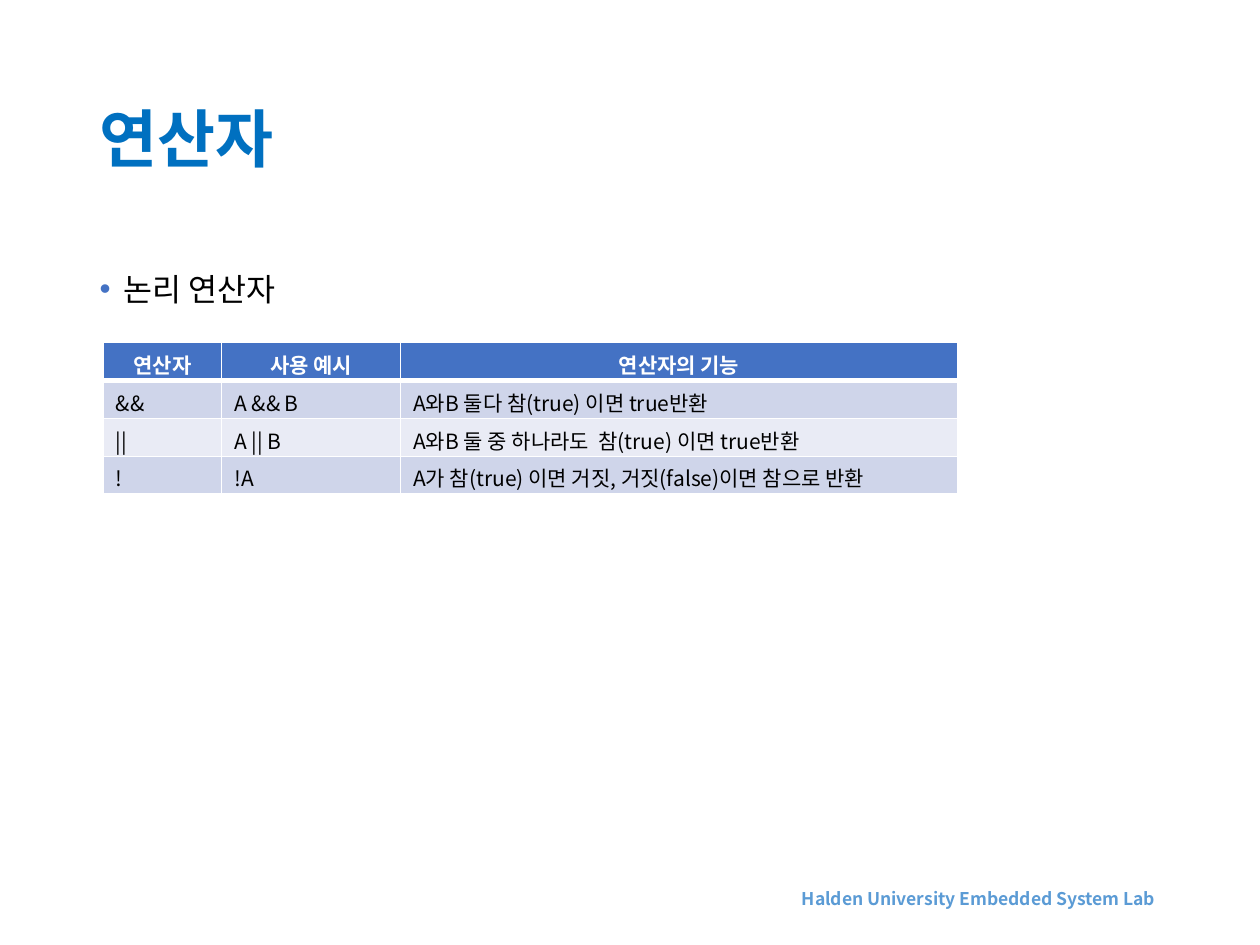
from pptx import Presentation
from pptx import util as u
from pptx.dml.color import RGBColor
from pptx.enum import text
from pptx.oxml import parse_xml
from pptx.oxml.ns import nsdecls

HEADER = ["연산자", "사용 예시", "연산자의 기능"]
OPERATORS = [
    ["&&", "A && B", "A와B 둘다 참(true) 이면 true반환"],
    ["||", "A || B", "A와B 둘 중 하나라도  참(true) 이면 true반환"],
    ["!", "!A", "A가 참(true) 이면 거짓, 거짓(false)이면 참으로 반환"],
]


def color(value):
    return RGBColor.from_string(value)


def write(frame, words, size=12, fill="000000", bold=False, font="Noto Sans CJK KR",
          align=text.PP_ALIGN.LEFT, leading=None, before=None):
    """Put one formatted paragraph in a text frame and return it."""
    para = frame.paragraphs[0]
    para.alignment = align
    if leading is not None:
        para.line_spacing = leading
    if before is not None:
        para.space_before = u.Pt(before)
    span = para.add_run()
    span.text = words
    span.font.size, span.font.bold, span.font.name = u.Pt(size), bold, font
    span.font.color.rgb = color(fill)
    span.font._element.append(parse_xml(f'<a:ea {nsdecls("a")} typeface="{font}"/>'))
    return para


class Sheet:
    """One slide on a grid of 100 columns by 75 rows."""

    blue, title_blue, footer_blue = "4472C4", "0070C0", "5B9BD5"
    bands = ("CFD5EA", "E9EBF5")

    def __init__(self, deck):
        self.column, self.row = deck.slide_width / 100, deck.slide_height / 75
        self.page = deck.slides.add_slide(deck.slide_layouts[1])

    def area(self, left, top, width, height):
        return (round(left * self.column), round(top * self.row),
                round(width * self.column), round(height * self.row))

    def placeholder(self, box, area, anchor):
        box.left, box.top, box.width, box.height = self.area(*area)
        frame = box.text_frame
        frame.auto_size = text.MSO_AUTO_SIZE.NONE
        frame.vertical_anchor = anchor
        return frame

    def title(self, words, area):
        frame = self.placeholder(self.page.shapes.title, area, text.MSO_ANCHOR.MIDDLE)
        write(frame, words, size=36, fill=self.title_blue, bold=True, leading=0.9)

    def bullet(self, words, area):
        frame = self.placeholder(self.page.placeholders[1], area, text.MSO_ANCHOR.TOP)
        para = write(frame, words, size=18, leading=1.3, before=7.5)
        props = para._p.get_or_add_pPr()
        indent = u.Inches(0.19)
        props.set("marL", str(indent))
        props.set("indent", str(-indent))
        for mark in (f'<a:buClr {nsdecls("a")}><a:srgbClr val="{self.blue}"/></a:buClr>',
                     f'<a:buFont {nsdecls("a")} typeface="Arial"/>',
                     f'<a:buChar {nsdecls("a")} char="•"/>'):
            props.append(parse_xml(mark))

    def footer(self, words, area):
        frame = self.page.shapes.add_textbox(*self.area(*area)).text_frame
        frame.word_wrap = True
        frame.vertical_anchor = text.MSO_ANCHOR.MIDDLE
        write(frame, words, size=10, fill=self.footer_blue, bold=True,
              align=text.PP_ALIGN.CENTER)

    def borders(self, cell, **widths):
        props = cell._tc.get_or_add_tcPr()
        for place, (side, width) in enumerate(widths.items()):
            props.insert(place, parse_xml(
                f'<a:ln{side} {nsdecls("a")} w="{u.Pt(width)}"><a:solidFill>'
                f'<a:srgbClr val="FFFFFF"/></a:solidFill></a:ln{side}>'))

    def table(self, rows, left, top, columns, height):
        area = self.area(left, top, sum(columns), height * len(rows))
        grid = self.page.shapes.add_table(len(rows), len(columns), *area).table
        for column, width in zip(grid.columns, columns):
            column.width = round(width * self.column)
        for r, row in enumerate(rows):
            head = r == 0
            look = (dict(fill="FFFFFF", bold=True, align=text.PP_ALIGN.CENTER)
                    if head else {})
            for c, words in enumerate(row):
                cell = grid.cell(r, c)
                cell.fill.solid()
                cell.fill.fore_color.rgb = color(self.blue if head else self.bands[(r - 1) % 2])
                self.borders(cell, L=1, R=1, T=3 if r == 1 else 1, B=3 if head else 1)
                write(cell.text_frame, words, **look)


def main():
    deck = Presentation()
    deck.slide_width, deck.slide_height = u.Inches(10), u.Inches(7.5)
    sheet = Sheet(deck)
    # Heading and topic
    sheet.title("연산자", (6.9, 4, 86.2, 14.5))
    sheet.bullet("논리 연산자", (6.9, 20, 86.2, 47.6))
    # Footer line
    sheet.footer("Halden University Embedded System Lab", (58.5, 69.3, 38.3, 4))
    # Operator table
    sheet.table([HEADER] + OPERATORS, 8.2, 27.2, (9.4, 14.2, 44.2), 2.9)
    deck.save("out.pptx")


if __name__ == "__main__":
    main()
